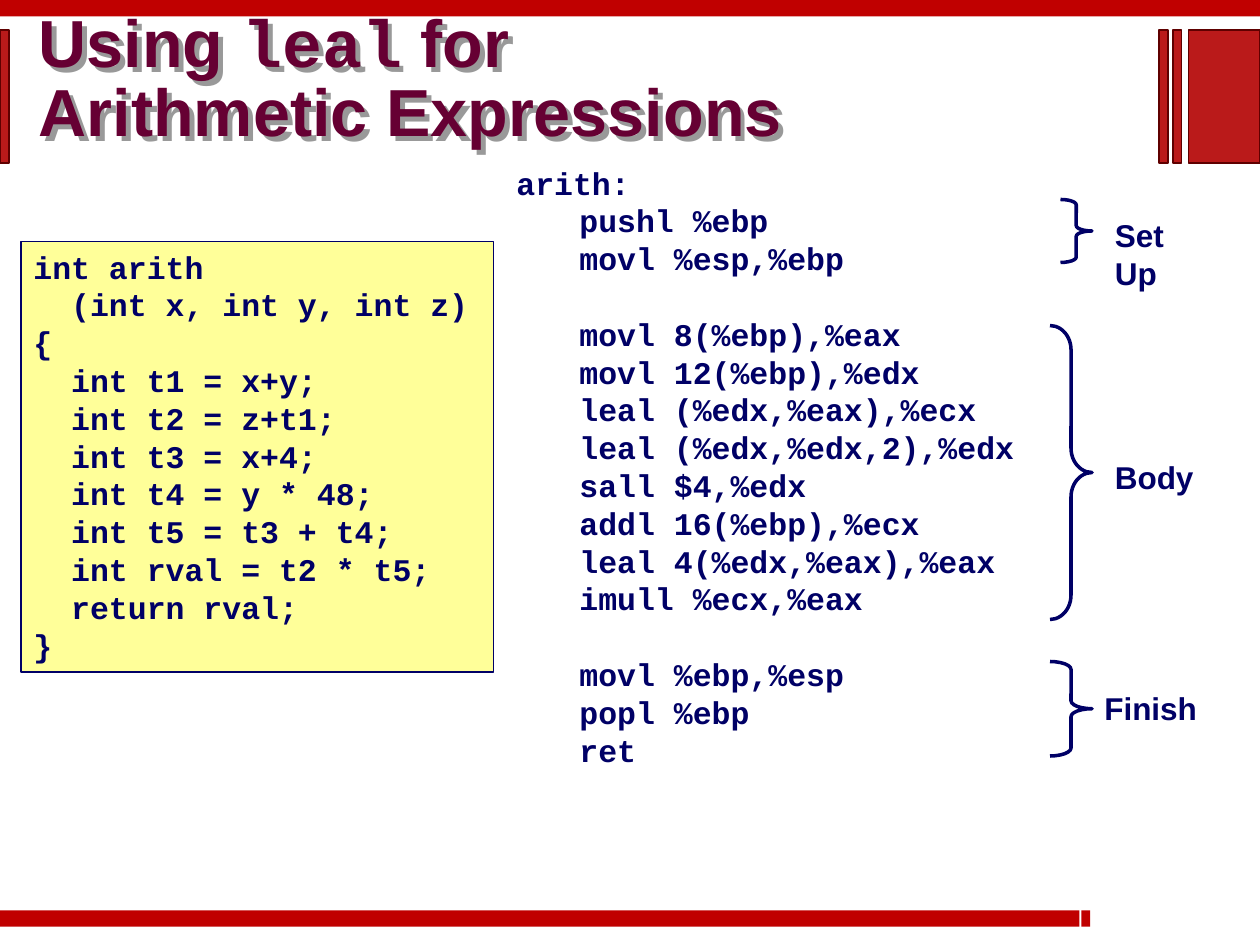
from lxml import etree
from pptx import Presentation
from pptx.dml.color import RGBColor
from pptx.enum import shapes, text
from pptx.oxml.ns import qn
from pptx.util import Inches, Pt

theme = {
    "navy": "000066", "plum": "660033", "cream": "FFFF99", "bar": "C00000",
    "block": "BA1A1A", "edge": "5F0000", "shade": "999999",
    "sans": "Arial", "mono": "Courier New", "head": 38, "body": 18, "row": 21.6,
}
cell = Inches(10) / 120
kind = shapes.MSO_SHAPE

deck = Presentation()
deck.slide_width, deck.slide_height = int(120 * cell), int(90 * cell)
slide = deck.slides.add_slide(deck.slide_layouts[6])


def draw(form, grid, fill=None, line=None, width=1):
    shape = slide.shapes.add_shape(form, *[int(n * cell) for n in grid])
    shape.shadow.inherit = False
    for part, tone in ((shape.fill, fill), (shape.line.fill, line)):
        if tone:
            part.solid()
            part.fore_color.rgb = RGBColor.from_string(theme[tone])
        else:
            part.background()
    if line:
        shape.line.width = Pt(width)
    return shape


def style(run, face="mono", size="body", tone="navy"):
    look = {"name": theme[face], "size": Pt(theme[size]), "bold": True}
    for key, value in look.items():
        setattr(run.font, key, value)
    run.font.color.rgb = RGBColor.from_string(theme[tone])


title = slide.shapes.add_textbox(*[int(n * cell) for n in (3.7, 4, 116.3, 7.5)])
glow = etree.SubElement(title._element.spPr, qn("a:effectLst"))
cast = etree.SubElement(glow, qn("a:outerShdw"), dist="50800", dir="2700000",
                        algn="ctr", rotWithShape="0")
etree.SubElement(cast, qn("a:srgbClr"), val=theme["shade"])
frame = title.text_frame
look = {"margin_left": 0, "margin_right": 0, "margin_top": 0, "margin_bottom": 0,
        "word_wrap": True, "vertical_anchor": text.MSO_ANCHOR.MIDDLE}
for key, value in look.items():
    setattr(frame, key, value)
para = frame.paragraphs[0]
para.line_spacing = 0.87
for words, face in (("Using ", "sans"), ("leal", "mono"), (" for", "sans"),
                    (None, None), ("Arithmetic Expressions", "sans")):
    if words is None:
        para.add_line_break()
        continue
    run = para.add_run()
    run.text = words
    style(run, face, "head", "plum")

source = """int arith
  (int x, int y, int z)
{
  int t1 = x+y;
  int t2 = z+t1;
  int t3 = x+4;
  int t4 = y * 48;
  int t5 = t3 + t4;
  int rval = t2 * t5;
  return rval;
}"""
panel = draw(kind.RECTANGLE, (2, 23, 45, 41), "cream", "navy")
frame = panel.text_frame
frame.word_wrap = True
frame.vertical_anchor = text.MSO_ANCHOR.TOP
for i, words in enumerate(source.split("\n")):
    para = frame.add_paragraph() if i else frame.paragraphs[0]
    para.alignment = text.PP_ALIGN.LEFT
    run = para.add_run()
    run.text = words
    style(run)

parts = [
    ["arith:", "pushl %ebp", "movl %esp,%ebp"],
    ["movl 8(%ebp),%eax", "movl 12(%ebp),%edx", "leal (%edx,%eax),%ecx",
     "leal (%edx,%edx,2),%edx", "sall $4,%edx", "addl 16(%ebp),%ecx",
     "leal 4(%edx,%eax),%eax", "imull %ecx,%eax"],
    ["movl %ebp,%esp", "popl %ebp", "ret"],
]
listing = slide.shapes.add_textbox(*[int(n * cell) for n in (48, 15, 54, 58.8)])
frame = listing.text_frame
frame.word_wrap = True
for i, part in enumerate(parts):
    for j, words in enumerate(part):
        first = i == j == 0
        para = frame.paragraphs[0] if first else frame.add_paragraph()
        if not first:
            para._p.get_or_add_pPr().set("marL", str(int(6 * cell)))
        if i and j == 0:
            para.space_before = Pt(theme["row"])
        run = para.add_run()
        run.text = words
        style(run)

for grid, bend, spot, lines in (
    ((100, 31, 4, 28), 0.58, (105, 43, 11, 4.8), ["Body"]),
    ((101, 19, 3, 6), 0.17, (105, 20, 8, 8.4), ["Set", "Up"]),
    ((100, 63, 4, 9), 0.19, (104, 65, 12, 4.8), ["Finish"]),
):
    brace = draw(kind.RIGHT_BRACE, grid, None, "navy", 2)
    brace.adjustments[0] = bend
    label = slide.shapes.add_textbox(*[int(n * cell) for n in spot])
    frame = label.text_frame
    frame.word_wrap = True
    for i, words in enumerate(lines):
        para = frame.add_paragraph() if i else frame.paragraphs[0]
        run = para.add_run()
        run.text = words
        style(run, "sans")

for grid in ((0, 0, 120, 1.56), (0, 86.7, 102.8, 1.56), (103, 86.7, 0.84, 1.56)):
    draw(kind.RECTANGLE, grid, "bar")
for left, wide in ((0, 0.84), (113.2, 6.8), (111.7, 0.84), (110.4, 0.84)):
    draw(kind.RECTANGLE, (left, 2.85, wide, 12.7), "block", "edge")

deck.save("out.pptx")
